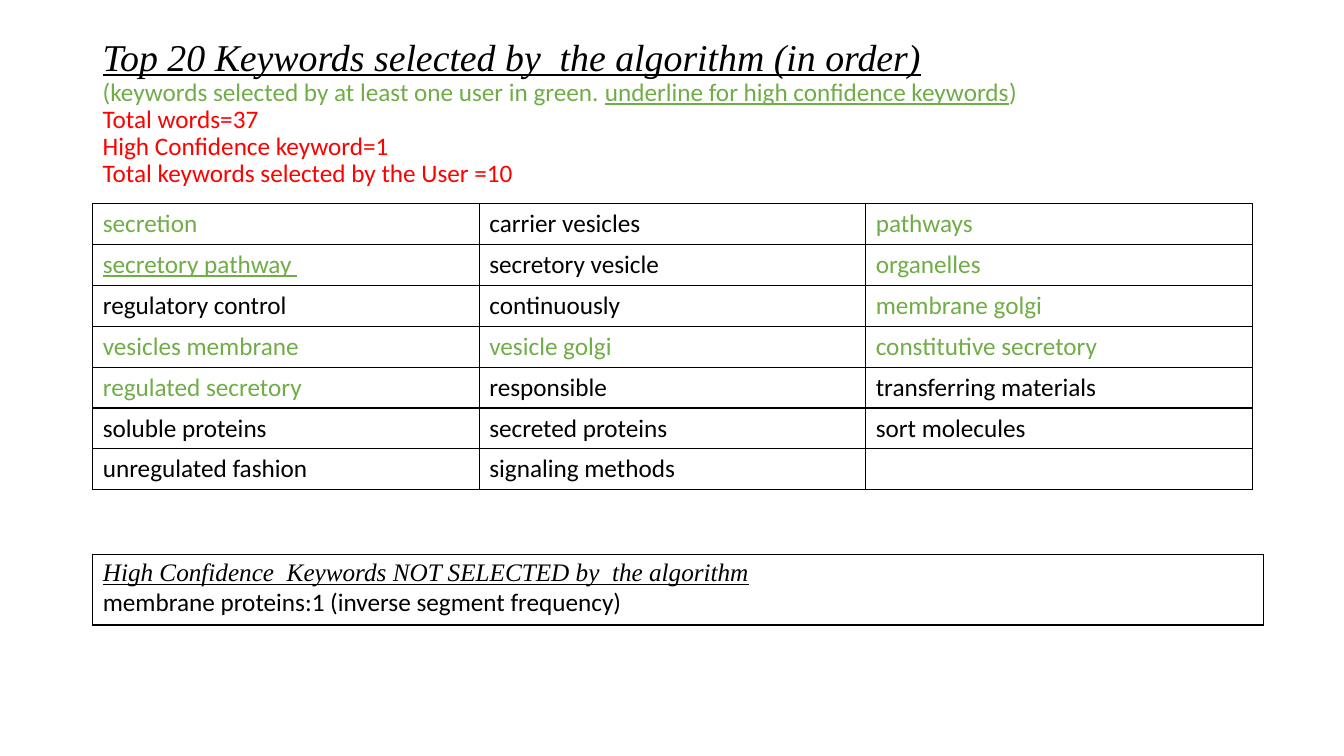
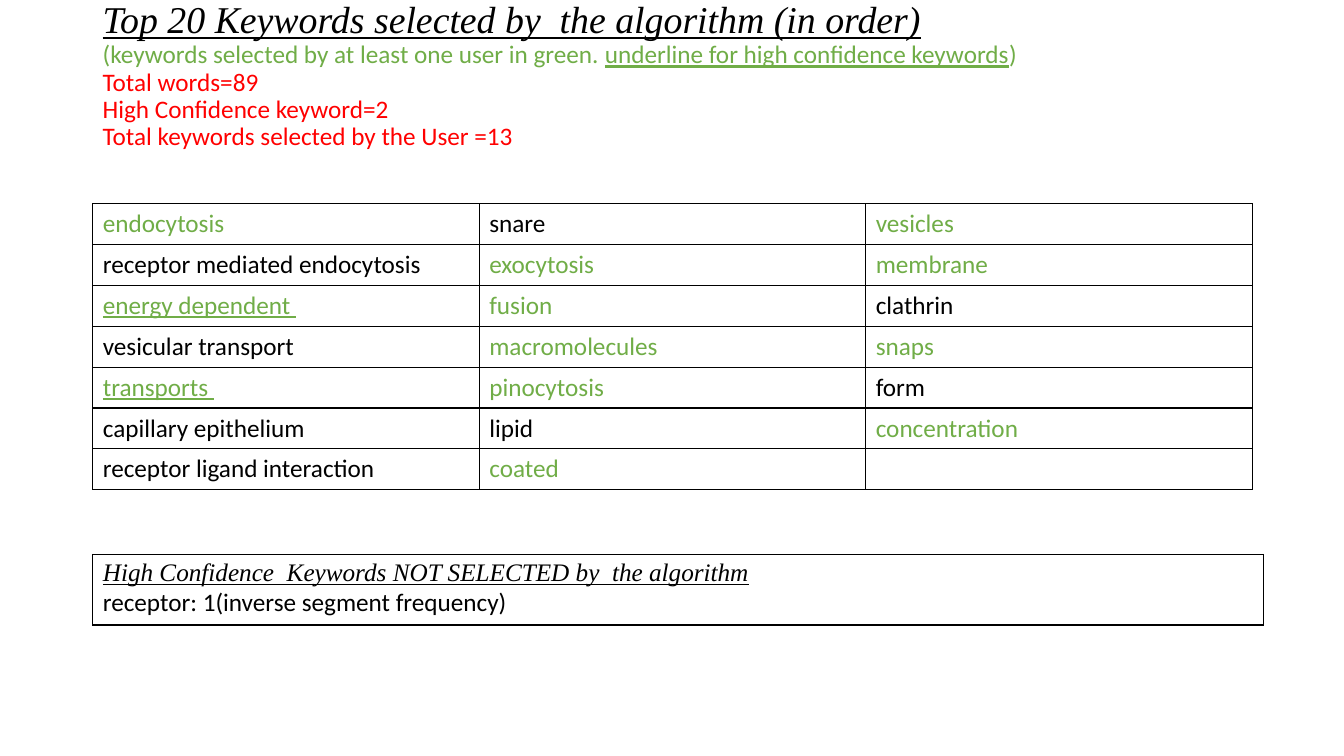
"""Build two slides comparing keywords chosen by an algorithm and by users."""
import pptx
import pptx.dml.color
import pptx.enum.text
import pptx.oxml
import pptx.oxml.ns
import pptx.util

Inches = pptx.util.Inches
BLACK, GREEN, RED = "000000", "70AD47", "FF0000"
SERIF, SANS = "Times New Roman", "Calibri"
LEFT, WIDTH = Inches(0.92), Inches(11.5)


def style(font, color=BLACK, name=SANS, size=18, heading=False):
    font.name = name
    font.size = pptx.util.Pt(size)
    font.color.rgb = pptx.dml.color.RGBColor.from_string(color)
    font.italic = heading
    font.underline = heading


def add_grid(page, rows, columns, top, width, height):
    grid = page.shapes.add_table(rows, columns, LEFT, top, width, height).table
    grid.first_row = False
    grid.horz_banding = False
    for cell in grid.iter_cells():
        properties = cell._tc.get_or_add_tcPr()
        for side in ("lnL", "lnR", "lnT", "lnB"):
            properties.append(pptx.oxml.parse_xml(
                f'<a:{side} {pptx.oxml.ns.nsdecls("a")} w="12700"><a:solidFill>'
                f'<a:srgbClr val="{BLACK}"/></a:solidFill></a:{side}>'))
        cell.fill.background()
    return grid


topics = [
    {
        "totals": (37, 1, 10),
        "bottom_inset": 0.05,
        "keywords": [
            ("secretion", "carrier vesicles", "pathways"),
            ("secretory pathway ", "secretory vesicle", "organelles"),
            ("regulatory control", "continuously", "membrane golgi"),
            ("vesicles membrane", "vesicle golgi", "constitutive secretory"),
            ("regulated secretory", "responsible", "transferring materials"),
            ("soluble proteins", "secreted proteins", "sort molecules"),
            ("unregulated fashion", "signaling methods", ""),
        ],
        "user_selected": {
            "secretion", "pathways", "organelles", "membrane golgi", "vesicles membrane",
            "vesicle golgi", "constitutive secretory", "regulated secretory",
        },
        "high_confidence": {"secretory pathway "},
        "missed": "membrane proteins:1 (inverse segment frequency)",
    },
    {
        "totals": (89, 2, 13),
        "bottom_inset": 0.79,
        "keywords": [
            ("endocytosis", "snare", "vesicles"),
            ("receptor mediated endocytosis", "exocytosis", "membrane"),
            ("energy dependent ", "fusion", "clathrin"),
            ("vesicular transport", "macromolecules", "snaps"),
            ("transports ", "pinocytosis", "form"),
            ("capillary epithelium", "lipid", "concentration"),
            ("receptor ligand interaction", "coated", ""),
        ],
        "user_selected": {
            "endocytosis", "vesicles", "exocytosis", "membrane", "fusion", "macromolecules",
            "snaps", "pinocytosis", "concentration", "coated",
        },
        "high_confidence": {"energy dependent ", "transports "},
        "missed": "receptor: 1(inverse segment frequency)",
    },
]

deck = pptx.Presentation()
deck.slide_width = Inches(13.33)
deck.slide_height = Inches(7.5)

for topic in topics:
    page = deck.slides.add_slide(deck.slide_layouts[6])

    frame = page.shapes.add_textbox(LEFT, Inches(0.4), WIDTH, Inches(1.45)).text_frame
    frame.word_wrap = True
    frame.auto_size = pptx.enum.text.MSO_AUTO_SIZE.NONE
    frame.vertical_anchor = pptx.enum.text.MSO_ANCHOR.MIDDLE
    frame.margin_bottom = Inches(topic["bottom_inset"])
    words, confident, selected = topic["totals"]
    frame.text = "\n".join([
        "Top 20 Keywords selected by  the algorithm (in order)",
        "(keywords selected by at least one user in green. ",
        f"Total words={words}",
        f"High Confidence keyword={confident}",
        f"Total keywords selected by the User ={selected}",
    ])
    title, legend, *totals = frame.paragraphs
    style(title.font, name=SERIF, size=27, heading=True)
    style(legend.font, GREEN)
    for text, underlined in (("underline for high confidence keywords", True), (")", False)):
        span = legend.add_run()
        span.text = text
        span.font.underline = underlined
    for para in totals:
        style(para.font, RED)
    for para in frame.paragraphs:
        para.line_spacing = 0.9

    keywords = topic["keywords"]
    grid = add_grid(page, len(keywords), 3, Inches(2.02), WIDTH, Inches(2.84))
    for row, line in enumerate(keywords):
        for column, keyword in enumerate(line):
            cell = grid.cell(row, column)
            cell.text = keyword
            font = cell.text_frame.paragraphs[0].font
            is_confident = keyword in topic["high_confidence"]
            is_selected = is_confident or keyword in topic["user_selected"]
            style(font, GREEN if is_selected else BLACK)
            font.underline = is_confident

    missed = add_grid(page, 1, 1, Inches(5.5), Inches(11.61), Inches(0.7)).cell(0, 0)
    missed.text = "High Confidence  Keywords NOT SELECTED by  the algorithm\n" + topic["missed"]
    heading, detail = missed.text_frame.paragraphs
    style(heading.font, name=SERIF, heading=True)
    style(detail.font)

deck.save("out.pptx")
